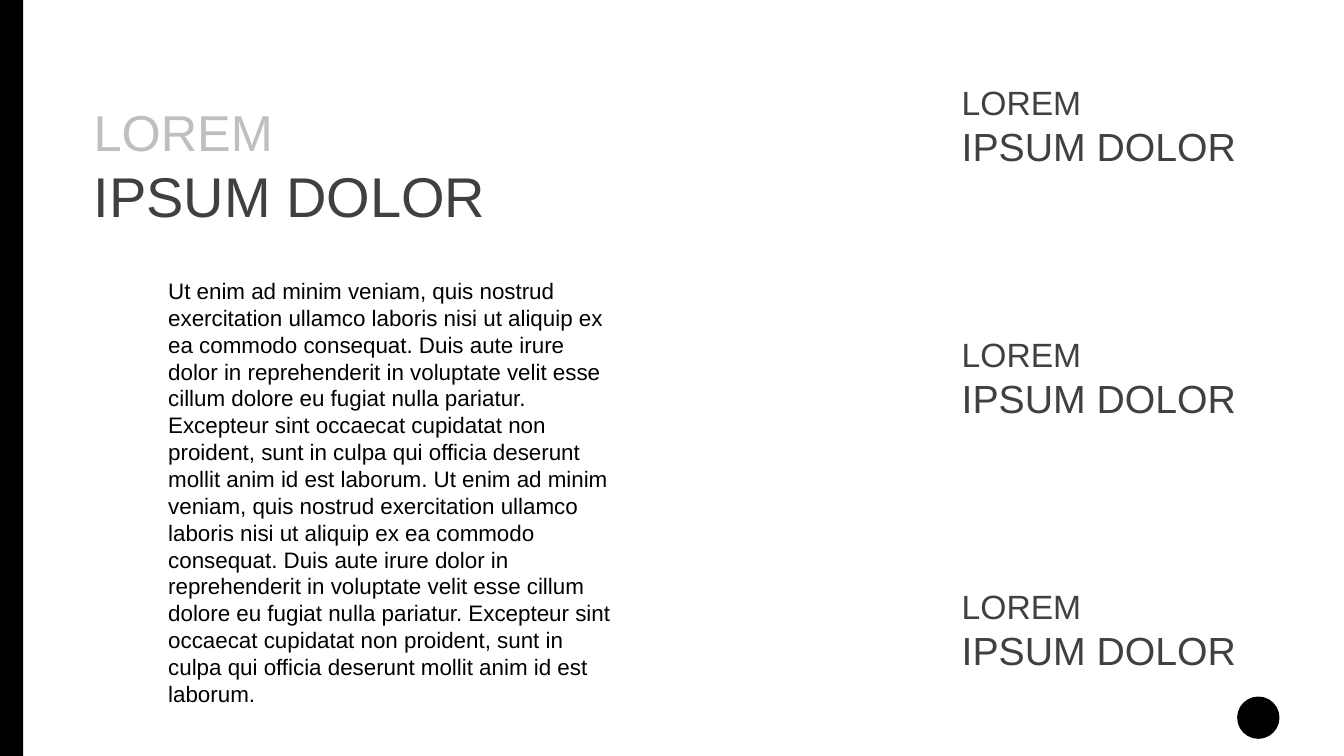
from dataclasses import dataclass

from pptx import Presentation
from pptx.dml.color import RGBColor
from pptx.enum import shapes, text
from pptx.util import Inches, Pt


@dataclass(frozen=True)
class Theme:
    font: str = "Arial"
    black: str = "000000"
    dark: str = "404040"
    pale: str = "BFBFBF"
    heading_sizes: tuple = (36, 40)
    label_sizes: tuple = (24, 28)
    body_size: int = 16


THEME = Theme()
TITLE = ("LOREM", "IPSUM DOLOR")
SENTENCES = (
    "Ut enim ad minim veniam, quis nostrud exercitation ullamco laboris nisi "
    "ut aliquip ex ea commodo consequat. Duis aute irure dolor in "
    "reprehenderit in voluptate velit esse cillum dolore eu fugiat nulla "
    "pariatur. Excepteur sint occaecat cupidatat non proident, sunt in culpa "
    "qui officia deserunt mollit anim id est laborum."
)
BODY = " ".join([SENTENCES] * 2)


def apply_format(target, values):
    for name, value in values.items():
        setattr(target, name, value)


def add_text(slide, box, lines):
    frame = slide.shapes.add_textbox(*map(Inches, box)).text_frame
    apply_format(frame, {
        "word_wrap": True,
        "auto_size": text.MSO_AUTO_SIZE.SHAPE_TO_FIT_TEXT,
        "vertical_anchor": text.MSO_ANCHOR.TOP,
    })
    for index, (words, size, color) in enumerate(lines):
        paragraph = frame.add_paragraph() if index else frame.paragraphs[0]
        run = paragraph.add_run()
        run.text = words
        apply_format(run.font, {"name": THEME.font, "size": Pt(size)})
        run.font.color.rgb = RGBColor.from_string(color)


def add_solid(slide, preset, box, color):
    solid = slide.shapes.add_shape(preset, *map(Inches, box))
    solid.shadow.inherit = False
    solid.fill.solid()
    solid.fill.fore_color.rgb = RGBColor.from_string(color)
    solid.line.fill.background()


def add_title(slide, box, sizes, colors):
    add_text(slide, box, zip(TITLE, sizes, colors))


def main():
    deck = Presentation()
    apply_format(deck, {"slide_width": Inches(13.33), "slide_height": Inches(7.5)})
    slide = deck.slides.add_slide(deck.slide_layouts[6])

    add_solid(slide, shapes.MSO_SHAPE.RECTANGLE, (0, 0, 0.23, 7.5), THEME.black)
    add_title(slide, (0.83, 0.95, 4.09, 1.38), THEME.heading_sizes,
              (THEME.pale, THEME.dark))
    for row in range(3):
        add_title(slide, (9.44, 0.76 + 2.5 * row, 3.21, 0.98), THEME.label_sizes,
                  (THEME.dark, THEME.dark))
    add_text(slide, (1.57, 2.7, 4.63, 3.87), [(BODY, THEME.body_size, THEME.black)])
    add_solid(slide, shapes.MSO_SHAPE.OVAL, (12.27, 6.91, 0.42, 0.42), THEME.black)

    deck.save("out.pptx")


if __name__ == "__main__":
    main()
